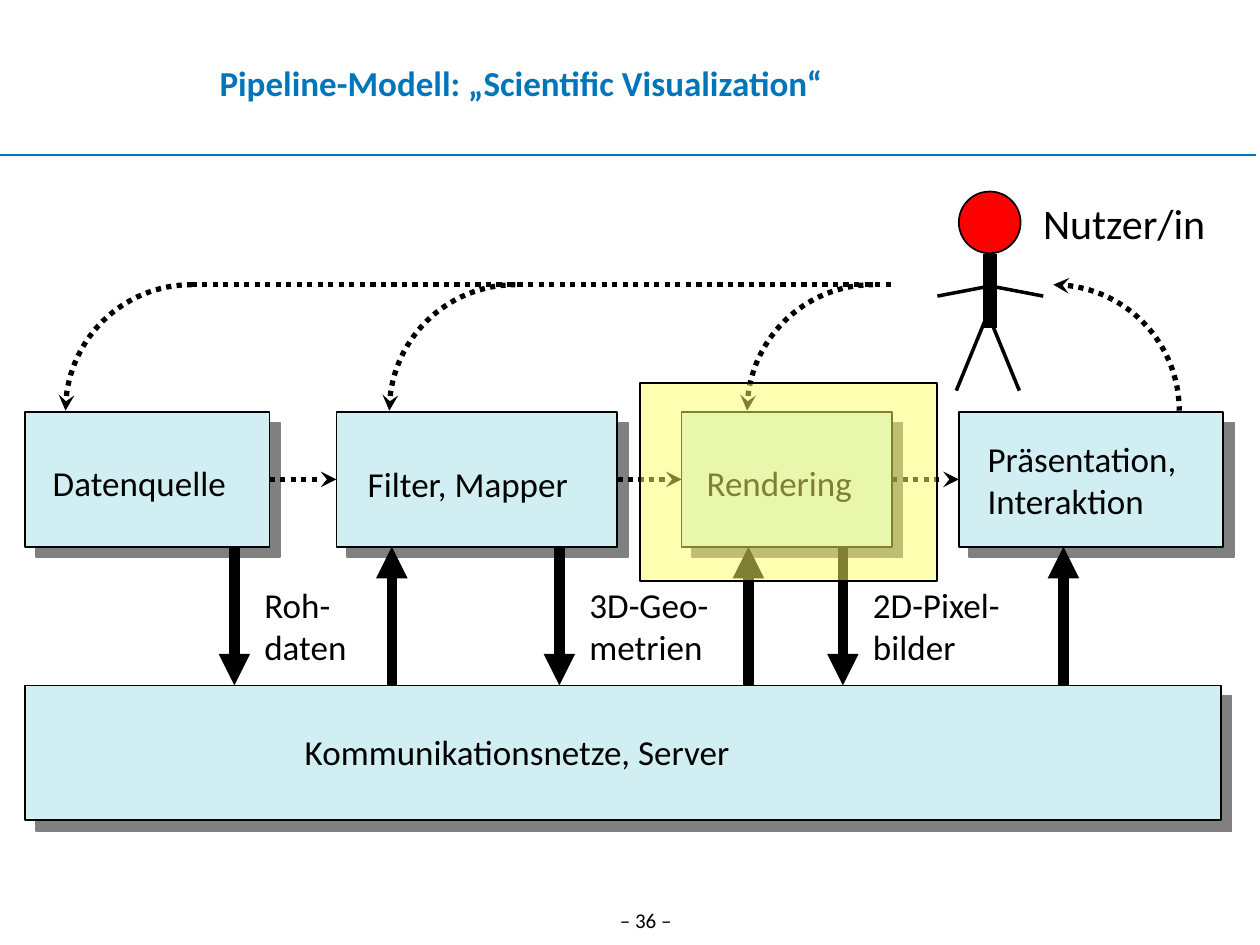
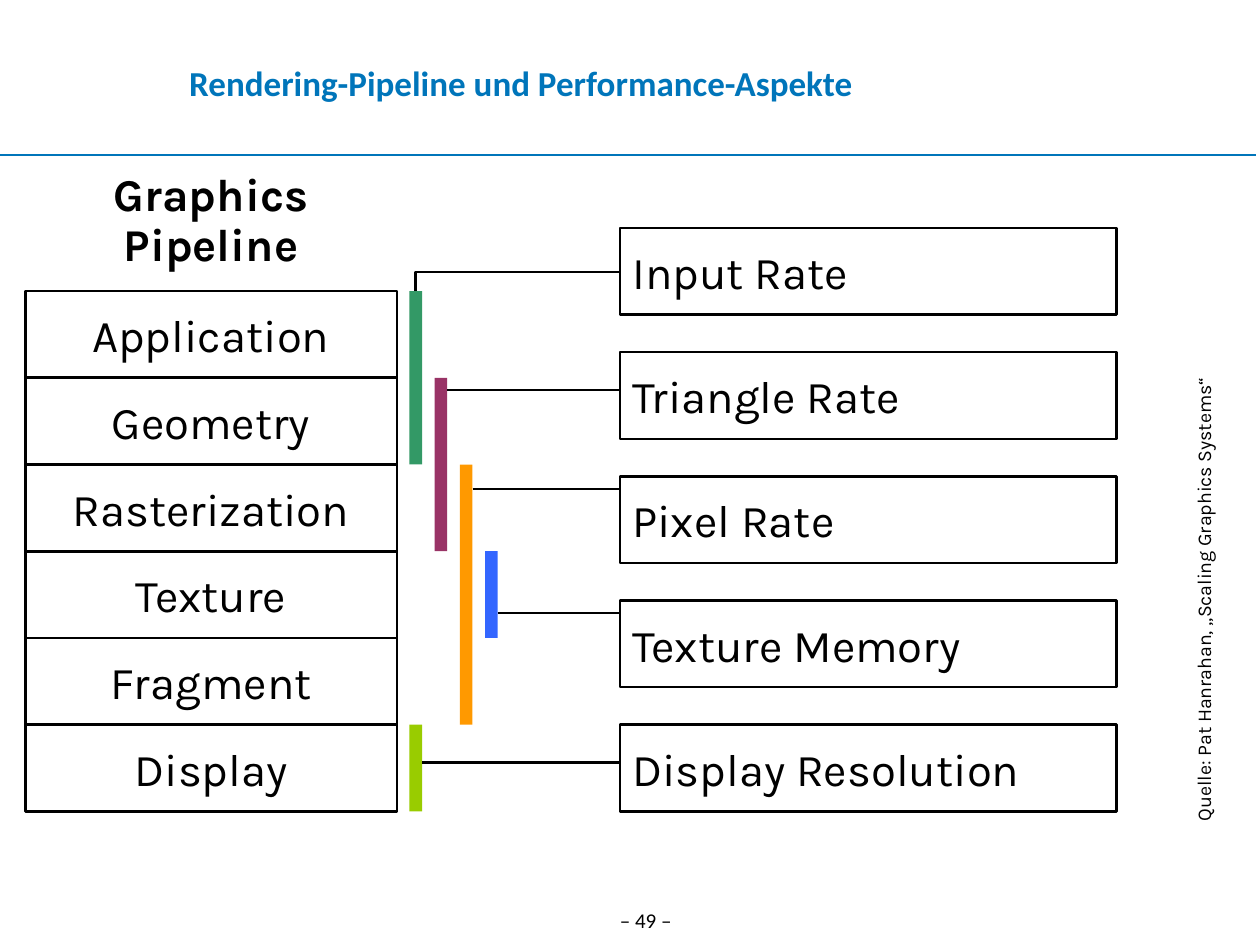
from dataclasses import dataclass
from math import cos, pi, sin

from lxml.etree import SubElement
from pptx import Presentation
from pptx.dml.color import RGBColor
from pptx.enum.dml import MSO_LINE
from pptx.enum.shapes import MSO_CONNECTOR, MSO_SHAPE
from pptx.enum.text import MSO_ANCHOR, PP_ALIGN
from pptx.oxml.ns import qn
from pptx.util import Inches, Pt


@dataclass(frozen=True)
class Theme:
    accent: str = "0075BA"
    ink: str = "000000"
    box: str = "D1EFF3"
    shadow: str = "808080"
    head: str = "FF0000"
    highlight: str = "FFFF66"
    font: str = "Calibri"
    diagram_font: str = "Karla"
    body: float = 20
    user: float = 24
    diagram: float = 26
    footer: float = 12
    source: float = 11.2


THEME = Theme()
WIDTH, HEIGHT = 10, 7.5
LEFT = 0.2

# ---- Content: visualization pipeline ----
MODEL_TITLE = "Pipeline-Modell: „Scientific Visualization“"
STAGE_TOP, BOX_HEIGHT, NETWORK_TOP = 3.27, 1.07, 5.44
# left, width, label lines, label place
MODEL_STAGES = [
    (LEFT, 1.94, ["Datenquelle"], (0.32, 3.61, 1.58, 0.43)),
    (2.67, 2.23, ["Filter, Mapper"], (2.82, 3.62, 1.82, 0.43)),
    (5.41, 1.67, ["Rendering"], (5.51, 3.61, 1.36, 0.43)),
    (7.61, 2.1, ["Präsentation,", "Interaktion"], (7.74, 3.42, 1.71, 0.77)),
]
NETWORK = (["Kommunikationsnetze, Server"], (2.32, 5.75, 3.59, 0.43))
TO_NETWORK = [1.86, 4.44, 6.69]
FROM_NETWORK = [3.11, 5.94, 8.44]
# label lines, left, width
DATA_LABELS = [
    (["Roh-", "daten"], 2, 0.86),
    (["3D-Geo-", "metrien"], 4.58, 1.15),
    (["2D-Pixel-", "bilder"], 6.83, 1.22),
]
FEEDBACK_TOP, FEEDBACK_RIGHT, CURVE_RADIUS = 2.26, 7.11, 1
FEEDBACK_TARGETS = [0.52, 5.93, 3.09]
USER_CURVE_LEFT = 8.36
USER_X = 7.86
# start, end, line width
USER_LIMBS = [((USER_X, 2.02), (USER_X, 2.6), 8)]
for side in (-1, 1):
    USER_LIMBS += [
        ((7.84, 2.49), (7.84 + side * 0.25, 3.1), 2),
        ((USER_X, 2.27), (USER_X + side * 0.42, 2.35), 2),
    ]

# ---- Content: rendering performance ----
PERFORMANCE_TITLE = "Rendering-Pipeline und Performance-Aspekte"
PIPELINE_HEADING = ["Graphics", "Pipeline"]
PIPELINE_STAGES = ["Application", "Geometry", "Rasterization",
                   "Texture", "Fragment", "Display"]
# name, bar colour, bar column, first stage, stages covered, link below box top
RATES = [
    ("Input Rate", "339966", 0, 0, 2, 0.35),
    ("Triangle Rate", "993366", 1, 1, 2, 0.3),
    ("Pixel Rate", "FF9900", 2, 2, 3, 0.1),
    ("Texture Memory", "3366FF", 3, 3, 1, 0.1),
    ("Display Resolution", "99CC00", 0, 5, 1, 0.3),
]
SOURCE = "Quelle: Pat Hanrahan, „Scaling Graphics Systems“"
PIPELINE_TOP, PIPELINE_BOTTOM, PIPELINE_WIDTH = 2.31, 6.44, 2.95
ROW = (PIPELINE_BOTTOM - PIPELINE_TOP) / len(PIPELINE_STAGES)
RATE_LEFT, RATE_TOP, RATE_WIDTH = 4.92, 1.81, 3.94
RATE_STEP = (PIPELINE_BOTTOM - ROW - RATE_TOP) / (len(RATES) - 1)
BAR_LEFT, BAR_STEP, BAR_WIDTH = 3.25, 0.2, 0.1


# ---- Drawing helpers ----
def rgb(code):
    return RGBColor.from_string(code)


def inches(*lengths):
    return [Inches(length) for length in lengths]


def write(target, lines, size=THEME.body, font=THEME.font, color=THEME.ink,
          bold=False, align=PP_ALIGN.LEFT, anchor=MSO_ANCHOR.TOP,
          margins=(0.1, 0.05), wrap=False, spacing=None, between=0):
    frame = target.text_frame
    frame.word_wrap = wrap
    frame.vertical_anchor = anchor
    frame.margin_left = frame.margin_right = Inches(margins[0])
    frame.margin_top = frame.margin_bottom = Inches(margins[1])
    for number, line in enumerate(lines):
        paragraph = frame.add_paragraph() if number else frame.paragraphs[0]
        paragraph.alignment = align
        if spacing:
            paragraph.line_spacing = spacing
        if number and between:
            paragraph.space_before = Pt(between)
        run = paragraph.add_run()
        run.text = line
        run.font.size = Pt(size)
        run.font.name = font
        run.font.bold = bold
        run.font.color.rgb = rgb(color)


def text(slide, place, lines, **style):
    label = slide.shapes.add_textbox(*inches(*place))
    write(label, lines, **style)
    return label


def shape(slide, place, fill=None, line=None, kind=MSO_SHAPE.RECTANGLE):
    drawn = slide.shapes.add_shape(kind, *inches(*place))
    drawn.shadow.inherit = False
    if fill:
        drawn.fill.solid()
        drawn.fill.fore_color.rgb = rgb(fill)
    else:
        drawn.fill.background()
    if line:
        drawn.line.color.rgb = rgb(THEME.ink)
        drawn.line.width = Pt(line)
    else:
        drawn.line.fill.background()
    return drawn


def shadowed_box(slide, place):
    box = shape(slide, place, THEME.box, 1)
    effects = box._element.spPr.find(qn("a:effectLst"))
    shadow = SubElement(effects, qn("a:outerShdw"), dist=str(Pt(8.5)),
                        dir=str(45 * 60000), algn="ctr", rotWithShape="0")
    SubElement(shadow, qn("a:srgbClr"), val=THEME.shadow)
    return box


def style_line(drawn, width, color=THEME.ink, dotted=False, head=None, tail=None):
    drawn.line.color.rgb = rgb(color)
    drawn.line.width = Pt(width)
    if dotted:
        drawn.line.dash_style = MSO_LINE.ROUND_DOT
    outline = drawn._element.spPr.find(qn("a:ln"))
    for end, arrow in (("a:headEnd", head), ("a:tailEnd", tail)):
        if arrow:
            SubElement(outline, qn(end), type=arrow)


def line(slide, start, end, width, kind=MSO_CONNECTOR.STRAIGHT, **style):
    connector = slide.shapes.add_connector(kind, *inches(*start, *end))
    style_line(connector, width, **style)
    SubElement(connector._element.spPr, qn("a:effectLst"))
    return connector


def quarter_curve(slide, center, start_angle):
    """Dotted quarter circle, clockwise, with its arrowhead at the start."""
    steps = 32
    points = []
    for step in range(steps + 1):
        angle = start_angle + pi / 2 * step / steps
        points.append(inches(center[0] + CURVE_RADIUS * cos(angle),
                             center[1] + CURVE_RADIUS * sin(angle)))
    builder = slide.shapes.build_freeform(*points[0])
    builder.add_line_segments(points[1:], close=False)
    curve = builder.convert_to_shape()
    curve.shadow.inherit = False
    curve.fill.background()
    style_line(curve, 3, dotted=True, head="stealth")


def new_slide(deck, title, number):
    slide = deck.slides.add_slide(deck.slide_layouts[6])
    line(slide, (0, 1.23), (9.97, 1.23), 0.75, color=THEME.accent)
    text(slide, (4.69, 7.15, 0.87, 0.35), [f"– {number} –"],
         size=THEME.footer, align=PP_ALIGN.CENTER, wrap=True)
    text(slide, (LEFT, 0.23, 7.87, 0.85), [title], color=THEME.accent, bold=True,
         align=PP_ALIGN.CENTER, anchor=MSO_ANCHOR.MIDDLE, margins=(0, 0), wrap=True)
    return slide


# ---- Slides ----
def model_slide(deck):
    slide = new_slide(deck, MODEL_TITLE, 36)

    # Stages and the network below them
    stages = []
    for left, width, lines, place in MODEL_STAGES:
        stages.append(shadowed_box(slide, (left, STAGE_TOP, width, BOX_HEIGHT)))
        text(slide, place, lines)
    for before, after in zip(stages, stages[1:]):
        flow = line(slide, (0, 0), (1, 1), 3, dotted=True, tail="stealth")
        flow.begin_connect(before, 3)
        flow.end_connect(after, 1)
    shadowed_box(slide, (LEFT, NETWORK_TOP, 9.49, BOX_HEIGHT))
    text(slide, NETWORK[1], NETWORK[0])

    # Data exchange
    for columns, arrow in ((TO_NETWORK, "tail"), (FROM_NETWORK, "head")):
        for x in columns:
            line(slide, (x, STAGE_TOP + BOX_HEIGHT), (x, NETWORK_TOP), 6,
                 **{arrow: "triangle"})
    for lines, left, width in DATA_LABELS:
        text(slide, (left, 4.58, width, 0.77), lines)

    # Feedback from and to the user
    curve_base = FEEDBACK_TOP + CURVE_RADIUS
    for left in FEEDBACK_TARGETS:
        quarter_curve(slide, (left + CURVE_RADIUS, curve_base), pi)
    quarter_curve(slide, (USER_CURVE_LEFT, curve_base), 1.5 * pi)
    line(slide, (FEEDBACK_TARGETS[0] + CURVE_RADIUS, FEEDBACK_TOP),
         (FEEDBACK_RIGHT, FEEDBACK_TOP), 3, dotted=True)

    # User
    shape(slide, (7.61, 1.52, 0.49, 0.49), THEME.head, 1, MSO_SHAPE.OVAL)
    for start, end, width in USER_LIMBS:
        line(slide, start, end, width)
    text(slide, (8.18, 1.52, 1.5, 0.5), ["Nutzer/in"], size=THEME.user)

    # Translucent highlight on the rendering stage
    highlight = shape(slide, (5.08, 3.04, 2.36, 1.57), THEME.highlight, 1)
    tint = highlight._element.spPr.find(qn("a:solidFill")).find(qn("a:srgbClr"))
    SubElement(tint, qn("a:alpha"), val="50000")


def performance_slide(deck):
    slide = new_slide(deck, PERFORMANCE_TITLE, 49)
    lettering = dict(size=THEME.diagram, font=THEME.diagram_font,
                     anchor=MSO_ANCHOR.MIDDLE)
    centred = dict(lettering, align=PP_ALIGN.CENTER, margins=(0.09, 0.04))

    # Pipeline column
    text(slide, (LEFT, 1.32, PIPELINE_WIDTH, 0.99), PIPELINE_HEADING,
         bold=True, spacing=0.5, between=13, **centred)
    for row, stage in enumerate(PIPELINE_STAGES):
        box = shape(slide, (LEFT, PIPELINE_TOP + row * ROW, PIPELINE_WIDTH, ROW),
                    line=1.5)
        write(box, [stage], **centred)

    # Rates, each with the bar of stages it covers
    for row, (rate, color, column, first, covered, link_drop) in enumerate(RATES):
        top = RATE_TOP + row * RATE_STEP
        box = shape(slide, (RATE_LEFT, top, RATE_WIDTH, ROW), line=1.5)
        write(box, [rate], **lettering)
        bar_left = BAR_LEFT + column * BAR_STEP
        bar_top = PIPELINE_TOP + first * ROW
        shape(slide, (bar_left, bar_top, BAR_WIDTH, covered * ROW), color)
        link_y = top + link_drop
        if link_y < bar_top:
            bend = line(slide, (RATE_LEFT, link_y),
                        (bar_left + BAR_WIDTH / 2, bar_top), 1.5, MSO_CONNECTOR.ELBOW)
            bend._element.spPr.find(qn("a:prstGeom")).set("prst", "bentConnector2")
        else:
            line(slide, (bar_left + BAR_WIDTH, link_y), (RATE_LEFT, link_y), 1.5)

    # Source along the right edge
    source = text(slide, (6.86, 3.66, 5.54, 0.37), [SOURCE], size=THEME.source,
                  font=THEME.diagram_font, wrap=True, spacing=0.8)
    source.rotation = 270


def main():
    deck = Presentation()
    deck.slide_width, deck.slide_height = inches(WIDTH, HEIGHT)
    model_slide(deck)
    performance_slide(deck)
    deck.save("out.pptx")


if __name__ == "__main__":
    main()
